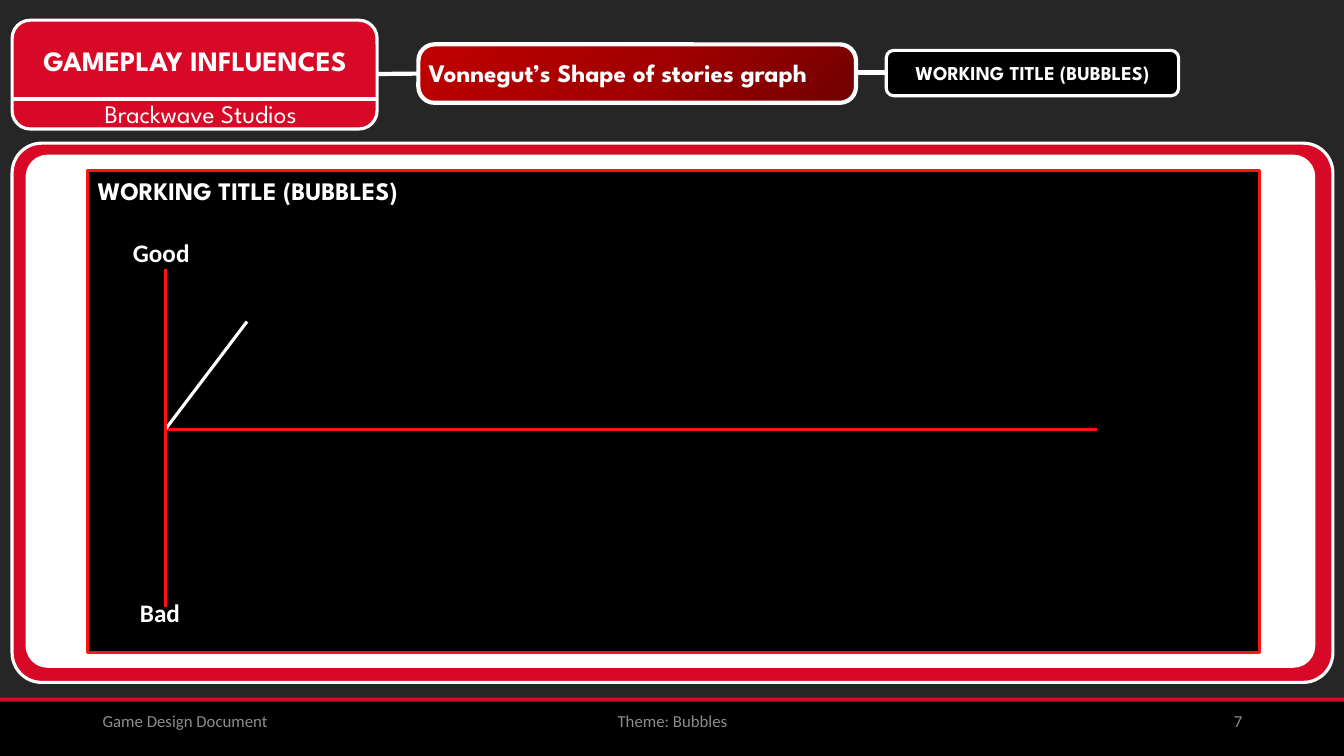
from dataclasses import dataclass

import lxml.etree
import pptx
import pptx.dml.color
import pptx.enum.shapes
import pptx.enum.text
import pptx.oxml
import pptx.oxml.ns
import pptx.util

Inches = pptx.util.Inches
Pt = pptx.util.Pt
MSO_SHAPE = pptx.enum.shapes.MSO_SHAPE
ALIGN = {
    "l": pptx.enum.text.PP_ALIGN.LEFT,
    "c": pptx.enum.text.PP_ALIGN.CENTER,
    "r": pptx.enum.text.PP_ALIGN.RIGHT,
}
ANCHOR = pptx.enum.text.MSO_ANCHOR

COLORS = {
    "back": "262626",
    "red": "D70926",
    "axis": "FF1212",
    "black": "000000",
    "white": "FFFFFF",
    "grey": "8C8C8C",
}
TITLE_GRADIENT = [(0, "720000"), (50, "A20000"), (100, "C00000")]
HEAD_FONT, BODY_FONT = "League Spartan", "Calibri"


@dataclass
class Box:
    at: tuple[float, float, float, float]
    fill: str
    line: str | None = None
    width: float = 2.25
    radius: float | None = None  # None gives square corners


@dataclass
class Line:
    start: tuple[float, float]
    end: tuple[float, float]
    color: str = "white"
    width: float = 2.25


@dataclass
class Label:
    at: tuple[float, float, float, float]
    text: str
    size: float = 18
    font: str = HEAD_FONT
    bold: bool = True
    color: str = "white"
    align: str = "l"
    middle: bool = False
    spacing: float | None = None


def rgb(name: str) -> pptx.dml.color.RGBColor:
    return pptx.dml.color.RGBColor.from_string(COLORS[name])


def set_corner_gradient(sp, stops: list[tuple[int, str]]) -> None:
    """Circular gradient that starts in the bottom right corner."""
    gs = "".join(
        f'<a:gs pos="{pos * 1000}"><a:srgbClr val="{color}"/></a:gs>'
        for pos, color in stops
    )
    grad = pptx.oxml.parse_xml(
        f'<a:gradFill {pptx.oxml.ns.nsdecls("a")} rotWithShape="1">'
        f'<a:gsLst>{gs}</a:gsLst><a:path path="circle">'
        '<a:fillToRect l="100000" t="100000"/></a:path></a:gradFill>'
    )
    sp.fill.solid()
    pr = sp._element.spPr
    pr.replace(pr.find(pptx.oxml.ns.qn("a:solidFill")), grad)


def draw_box(s, box: Box) -> None:
    rounded = box.radius is not None
    kind = MSO_SHAPE.ROUNDED_RECTANGLE if rounded else MSO_SHAPE.RECTANGLE
    sp = s.shapes.add_shape(kind, *map(Inches, box.at))
    sp.shadow.inherit = False
    if rounded:
        sp.adjustments[0] = box.radius
    if box.fill == "gradient":
        set_corner_gradient(sp, TITLE_GRADIENT)
    else:
        sp.fill.solid()
        sp.fill.fore_color.rgb = rgb(box.fill)
    if box.line:
        sp.line.color.rgb = rgb(box.line)
        sp.line.width = Pt(box.width)
    else:
        sp.line.fill.background()


def draw_line(s, line: Line) -> None:
    cn = s.shapes.add_connector(
        pptx.enum.shapes.MSO_CONNECTOR.STRAIGHT,
        *map(Inches, line.start + line.end),
    )
    cn.line.color.rgb = rgb(line.color)
    cn.line.width = Pt(line.width)
    lxml.etree.SubElement(cn._element.spPr, pptx.oxml.ns.qn("a:effectLst"))


def draw_label(s, label: Label) -> None:
    tf = s.shapes.add_textbox(*map(Inches, label.at)).text_frame
    tf.word_wrap = True
    tf.vertical_anchor = ANCHOR.MIDDLE if label.middle else ANCHOR.TOP
    tf.text = label.text
    p = tf.paragraphs[0]
    p.alignment = ALIGN[label.align]
    if label.spacing:
        p.line_spacing = label.spacing
    r = p.runs[0]
    r.font.name = label.font
    r.font.size = Pt(label.size)
    r.font.bold = label.bold
    r.font.color.rgb = rgb(label.color)


def footer(left: float, width: float, text: str, align: str) -> Label:
    return Label((left, 6.95, width, 0.4), text, 12, BODY_FONT, False,
                 "grey", align, True)


ORIGIN = (1.64, 4.26)
TAG = "WORKING TITLE (BUBBLES)"
TAG_BOX = (8.79, 0.5, 2.9, 0.45)

PARTS = [
    # Footer band
    Box((0, 6.92, 13.33, 0.54), "red"),
    Box((0, 6.96, 13.33, 0.54), "black"),
    # Links between the header boxes
    Line((9.25, 0.72), (8.31, 0.72), width=3),
    Line((4.15, 0.73), (3.21, 0.74), width=3),
    # Content frame
    Box((0.12, 1.42, 13.1, 5.35), "red", "white", radius=0.055),
    Box((0.27, 1.55, 12.76, 5.06), "white", "white", radius=0.04),
    # Header boxes
    Box((0.12, 0.2, 3.62, 1.08), "red", "white", radius=0.167),
    Line((0.12, 0.98), (3.75, 0.98), width=3),
    Label((-0.18, 0.42, 4.23, 0.4), "GAMEPLAY INFLUENCES", 20,
          align="c", middle=True, spacing=0.9),
    Label((-0.57, 0.96, 5.12, 0.37), "Brackwave Studios", bold=False,
          align="c", middle=True, spacing=0.9),
    Box((4.15, 0.44, 4.34, 0.58), "gradient", "white", 3, 0.276),
    Label((4.15, 0.52, 4.34, 0.4), "Vonnegut’s Shape of stories graph"),
    Box(TAG_BOX, "black", "white", radius=0.167),
    Label(TAG_BOX, TAG, 14, align="c", middle=True),
    # Story graph
    Box((0.87, 1.69, 11.62, 4.78), "black", "axis"),
    Label((0.87, 1.69, 11.52, 0.4), TAG),
    Line(ORIGIN, (10.88, 4.26), "axis"),
    Label((1.22, 2.31, 2.46, 0.4), "Good", font=BODY_FONT),
    Label((1.29, 5.88, 2.46, 0.4), "Bad", font=BODY_FONT),
    Line(ORIGIN, (2.45, 3.19)),
    Line((1.64, 2.67), (1.64, 6.02), "axis"),
    # Footer text
    footer(0.92, 3, "Game Design Document", "l"),
    footer(4.42, 4.5, "Theme: Bubbles", "c"),
    footer(9.42, 3, "7", "r"),
]
DRAW = {Box: draw_box, Line: draw_line, Label: draw_label}


def main() -> None:
    prs = pptx.Presentation()
    prs.slide_width, prs.slide_height = Inches(13.33), Inches(7.5)
    s = prs.slides.add_slide(prs.slide_layouts[6])
    s.background.fill.solid()
    s.background.fill.fore_color.rgb = rgb("back")
    for part in PARTS:
        DRAW[type(part)](s, part)
    prs.save("out.pptx")


if __name__ == "__main__":
    main()
